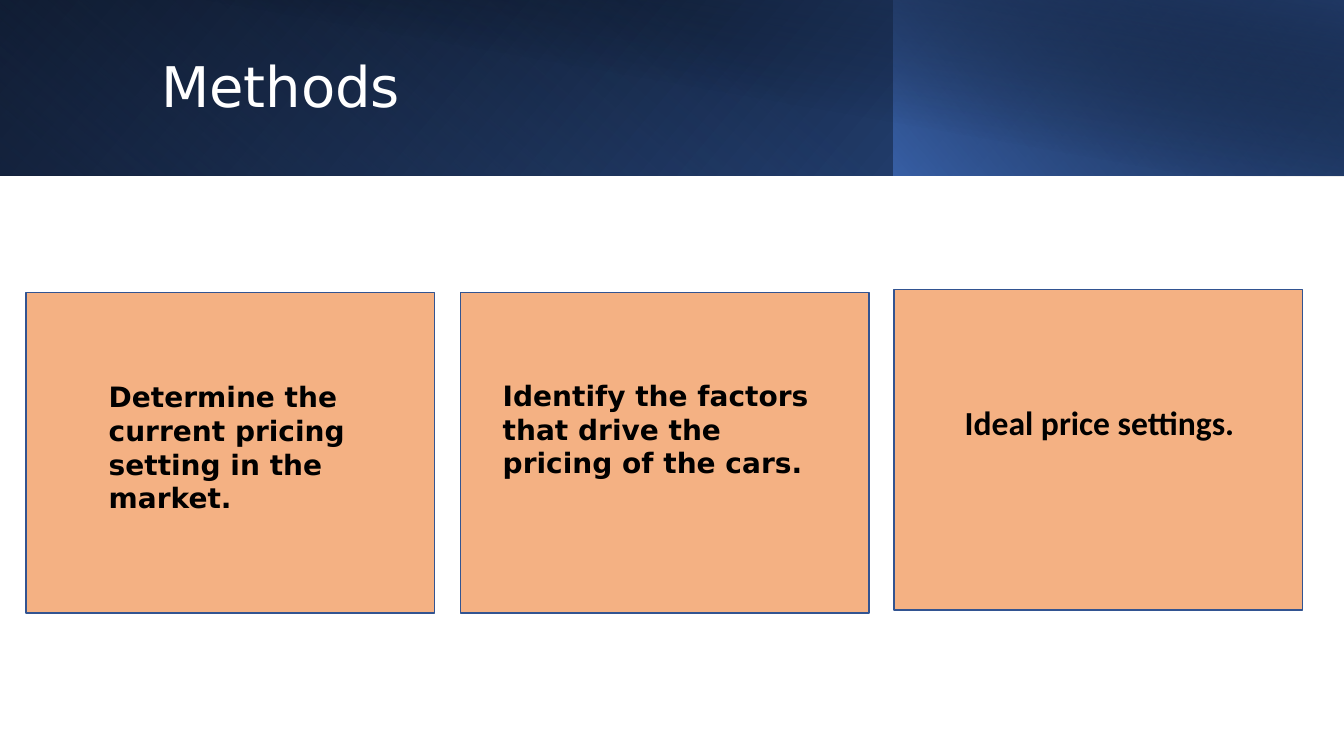
"""Build the Methods slide: a gradient header band above three cards."""
from lxml.etree import SubElement
from pptx import Presentation
from pptx.dml.color import RGBColor
from pptx.enum.shapes import MSO_SHAPE
from pptx.enum.text import MSO_ANCHOR, PP_ALIGN
from pptx.oxml.ns import qn
from pptx.util import Cm, Pt

SLIDE_SIZE = (33.87, 19.05)
TITLE = "Methods"
TITLE_AREA = (3.81, 0.81, 27.48, 2.87)
CARD_FILL, CARD_LINE = "F4B183", "325491"
CARD_SIZE = (10.29, 8.08)

# left, width, height, rotation, flipped, angle, (position, colour, opacity) stops
HEADER_LAYERS = [
    (0, 33.87, 4.42, 0, True, 140, [(0, "000000", 100), (1, "2F5597", 100)]),
    (0, 22.56, 4.42, 180, True, 230, [(0.2, "4472C4", 0), (1, "203864", 55)]),
    (22.53, 11.33, 4.42, 0, True, 220, [(0, "4472C4", 66), (1, "000000", 30)]),
    (1.27, 32.6, 4.45, 0, False, 280, [(0.5, "000000", 0), (0.99, "203864", 52)]),
]

# card left and top, caption area, caption, font, size, alignment
CARDS = [
    ((0.66, 7.37), (2.49, 9.45, 8.94, 3.68),
     "Determine the current pricing setting in the market.",
     "DejaVu Sans", 20, PP_ALIGN.LEFT),
    ((11.61, 7.37), (12.42, 9.42, 8.94, 2.82),
     "Identify the factors that drive the pricing of the cars.",
     "DejaVu Sans", 20, PP_ALIGN.LEFT),
    ((22.53, 7.29), (23.06, 10.01, 9.3, 1.27),
     "Ideal price settings.", "Calibri", 24, PP_ALIGN.CENTER),
]


def rgb(value):
    return RGBColor.from_string(value)


def add_rectangle(slide, area):
    shape = slide.shapes.add_shape(MSO_SHAPE.RECTANGLE, *map(Cm, area))
    shape.shadow.inherit = False
    shape.line.fill.background()
    return shape


def add_header_layer(slide, left, width, height, rotation, flipped, angle, stops):
    shape = add_rectangle(slide, (left, 0, width, height))
    shape.rotation = rotation
    if flipped:
        shape.element.spPr.find(qn("a:xfrm")).set("flipH", "1")
    shape.fill.gradient()
    shape.fill.gradient_angle = 360 - angle
    for stop, (position, color, _) in zip(shape.fill.gradient_stops, stops):
        stop.position = position
        stop.color.rgb = rgb(color)
    colors = shape.element.spPr.iter(qn("a:srgbClr"))
    for element, (_, _, opacity) in zip(list(colors), stops):
        if opacity < 100:
            SubElement(element, qn("a:alpha")).set("val", str(opacity * 1000))


def add_text(slide, area, text, font, size, color, bold=False,
             alignment=PP_ALIGN.LEFT, anchor=MSO_ANCHOR.TOP, line_spacing=1.0):
    frame = slide.shapes.add_textbox(*map(Cm, area)).text_frame
    frame.word_wrap = True
    frame.vertical_anchor = anchor
    paragraph = frame.paragraphs[0]
    paragraph.alignment = alignment
    paragraph.line_spacing = line_spacing
    run = paragraph.add_run()
    run.text = text
    run.font.name = font
    run.font.size = Pt(size)
    run.font.bold = bold
    run.font.color.rgb = rgb(color)


def add_card(slide, corner, area, caption, font, size, alignment):
    card = add_rectangle(slide, corner + CARD_SIZE)
    card.fill.solid()
    card.fill.fore_color.rgb = rgb(CARD_FILL)
    card.line.color.rgb = rgb(CARD_LINE)
    card.line.width = Pt(1)
    add_text(slide, area, caption, font, size, "000000", True, alignment)


def main():
    presentation = Presentation()
    presentation.slide_width, presentation.slide_height = map(Cm, SLIDE_SIZE)
    slide = presentation.slides.add_slide(presentation.slide_layouts[6])
    for layer in HEADER_LAYERS:
        add_header_layer(slide, *layer)
    add_text(slide, TITLE_AREA, TITLE, "DejaVu Sans", 40, "FFFFFF",
             anchor=MSO_ANCHOR.MIDDLE, line_spacing=0.9)
    for card in CARDS:
        add_card(slide, *card)
    presentation.save("out.pptx")


if __name__ == "__main__":
    main()
